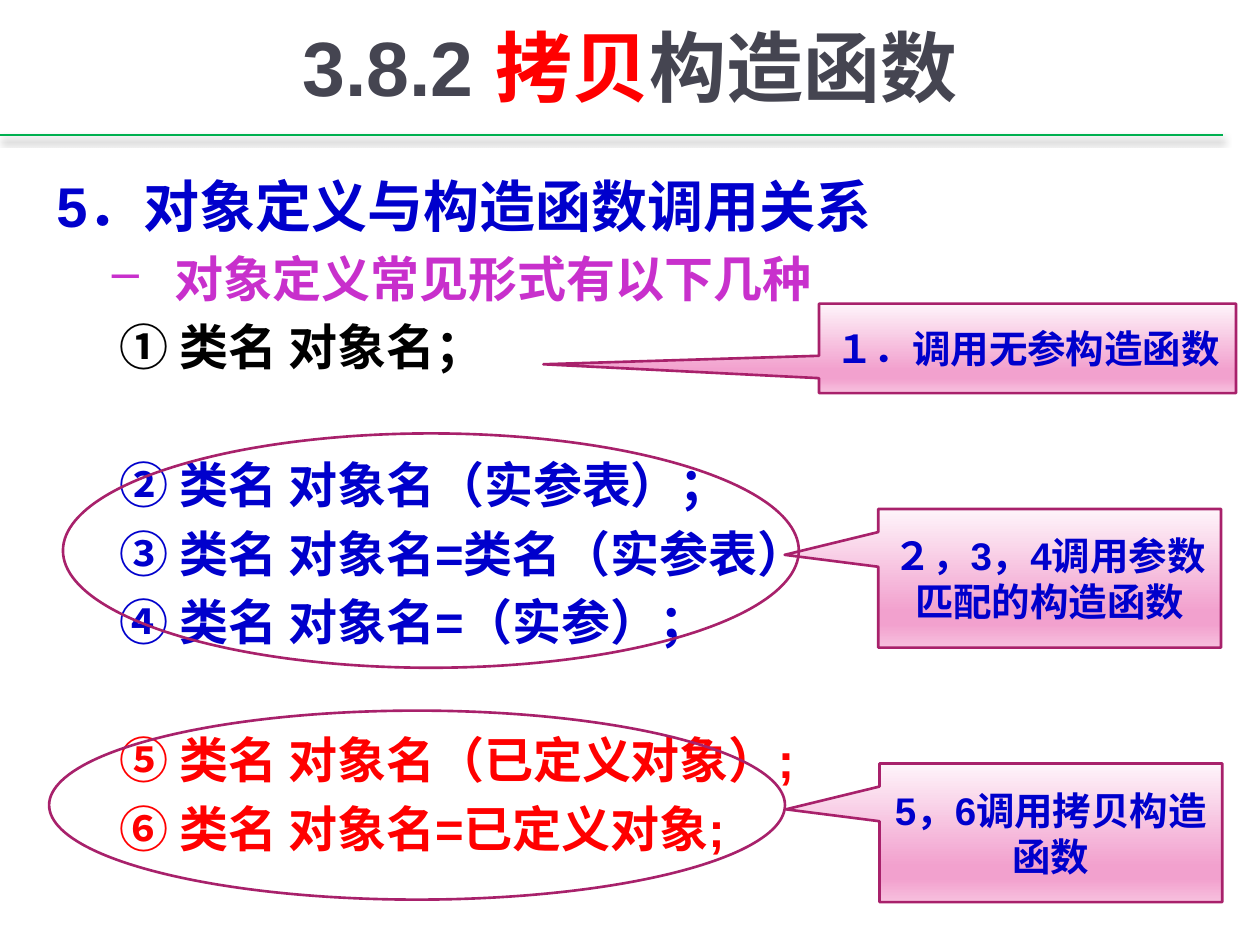
from typing import NamedTuple, Optional

import pptx
import pptx.dml.color
import pptx.enum.lang
import pptx.enum.shapes
import pptx.enum.text
import pptx.oxml
import pptx.oxml.ns
import pptx.util
from pptx.dml.color import RGBColor
from pptx.util import Inches

BLUE = RGBColor(0x00, 0x00, 0xCC)
RED = RGBColor(0xFF, 0x00, 0x00)
BLACK = RGBColor(0x00, 0x00, 0x00)
VIOLET = RGBColor(0xC8, 0x30, 0xCC)
SLATE = RGBColor(0x45, 0x45, 0x51)
GREEN = RGBColor(0x00, 0xB0, 0x50)
PLUM = RGBColor(0xA8, 0x21, 0x6B)
PINK_STOPS = [
    (0, RGBColor(0xFE, 0xF4, 0xFA)),
    (74, RGBColor(0xF2, 0xA1, 0xCE)),
    (83, RGBColor(0xF2, 0xA1, 0xCE)),
    (100, RGBColor(0xF7, 0xC0, 0xDE)),
]
NSDECL = pptx.oxml.ns.nsdecls("a")
SHAPES = pptx.enum.shapes.MSO_SHAPE
CENTER = pptx.enum.text.PP_ALIGN.CENTER
MIDDLE = pptx.enum.text.MSO_ANCHOR.MIDDLE


class Box(NamedTuple):
    left: float
    top: float
    width: float
    height: float

    def lengths(self) -> list:
        return [Inches(value) for value in self]


class Line(NamedTuple):
    text: str
    color: RGBColor
    size: int = 28
    before: float = 5.6
    margin: float = 0.81
    indent: float = -0.31
    bullet: Optional[str] = None


class Callout(NamedTuple):
    box: Box
    tip: tuple
    text: str


GROUP_GAP = 45
OUTLINE = [
    Line("5．对象定义与构造函数调用关系", BLUE, 32, 0, 0, 0),
    Line("对象定义常见形式有以下几种", VIOLET, margin=0.94, indent=-0.5, bullet="–"),
    Line("① 类名 对象名；", BLACK),
    Line("② 类名 对象名（实参表）；", BLUE, before=GROUP_GAP),
    Line("③ 类名 对象名=类名（实参表）", BLUE),
    Line("④ 类名 对象名=（实参）；", BLUE),
    Line("⑤ 类名 对象名（已定义对象）;", RED, before=GROUP_GAP),
    Line("⑥ 类名 对象名=已定义对象;", RED),
]
TITLE = [("3.8.2 ", SLATE), ("拷贝", RED), ("构造函数", SLATE)]
CALLOUTS = [
    Callout(Box(6.5, 2.41, 3.31, 0.71), (-1.161, 0.178), "１．调用无参构造函数"),
    Callout(Box(6.97, 4.04, 2.72, 1.1), (-0.773, -0.169), "２，3，4调用参数匹配的构造函数"),
    Callout(Box(6.98, 6.06, 2.72, 1.1), (-0.773, -0.169), "5，6调用拷贝构造函数"),
]
RINGS = [Box(0.5, 3.44, 5.84, 1.86), Box(0.39, 5.64, 5.84, 1.5)]


def add_run(paragraph, text: str, size: int, color: RGBColor) -> None:
    run = paragraph.add_run()
    run.text = text
    formats = {
        "name": "Arial",
        "size": pptx.util.Pt(size),
        "bold": True,
        "language_id": pptx.enum.lang.MSO_LANGUAGE_ID.SIMPLIFIED_CHINESE,
    }
    for attribute, value in formats.items():
        setattr(run.font, attribute, value)
    run.font.color.rgb = color


def add_rule(slide) -> None:
    rule = slide.shapes.add_connector(
        pptx.enum.shapes.MSO_CONNECTOR.STRAIGHT,
        Inches(0), Inches(1.07), Inches(9.71), Inches(1.07),
    )
    rule.line.color.rgb = GREEN
    rule.line.width = pptx.util.Pt(1.25)
    rule._element.spPr.append(pptx.oxml.parse_xml(
        f'<a:effectLst {NSDECL}><a:outerShdw blurRad="50800" dist="31750" '
        'dir="5400000" rotWithShape="0"><a:srgbClr val="000000">'
        '<a:alpha val="47000"/></a:srgbClr></a:outerShdw></a:effectLst>'
    ))


def add_outline(slide) -> None:
    frame = slide.shapes.add_textbox(*Box(0.35, 1.31, 6.93, 5.83).lengths()).text_frame
    frame.word_wrap = True
    for index, line in enumerate(OUTLINE):
        paragraph = frame.add_paragraph() if index else frame.paragraphs[0]
        properties = paragraph._p.get_or_add_pPr()
        properties.set("marL", str(Inches(line.margin)))
        properties.set("indent", str(Inches(line.indent)))
        bullet = f'<a:buChar {NSDECL} char="{line.bullet}"/>' if line.bullet else f"<a:buNone {NSDECL}/>"
        properties.append(pptx.oxml.parse_xml(bullet))
        paragraph.space_before = pptx.util.Pt(line.before)
        add_run(paragraph, line.text, line.size, line.color)


def add_title(slide) -> None:
    frame = slide.shapes.add_textbox(*Box(0.5, 0.08, 9, 0.89).lengths()).text_frame
    frame.word_wrap = True
    frame.vertical_anchor = MIDDLE
    frame.paragraphs[0].alignment = CENTER
    for text, color in TITLE:
        add_run(frame.paragraphs[0], text, 44, color)


def add_outlined(slide, kind, box: Box):
    shape = slide.shapes.add_shape(kind, *box.lengths())
    shape.shadow.inherit = False
    shape.fill.background()
    shape.line.color.rgb = PLUM
    shape.line.width = pptx.util.Pt(1.5)
    return shape


def add_callout(slide, callout: Callout) -> None:
    shape = add_outlined(slide, SHAPES.RECTANGULAR_CALLOUT, callout.box)
    for index, offset in enumerate(callout.tip):
        shape.adjustments[index] = offset
    stops = "".join(
        f'<a:gs pos="{position * 1000}"><a:srgbClr val="{color}"/></a:gs>'
        for position, color in PINK_STOPS
    )
    properties = shape._element.spPr
    properties.replace(
        properties.find(pptx.oxml.ns.qn("a:noFill")),
        pptx.oxml.parse_xml(
            f'<a:gradFill {NSDECL} rotWithShape="1"><a:gsLst>{stops}</a:gsLst>'
            '<a:lin ang="5400000" scaled="0"/></a:gradFill>'
        ),
    )
    frame = shape.text_frame
    frame.word_wrap = True
    frame.vertical_anchor = MIDDLE
    frame.paragraphs[0].alignment = CENTER
    add_run(frame.paragraphs[0], callout.text, 22, BLUE)


def main() -> None:
    deck = pptx.Presentation()
    deck.slide_width, deck.slide_height = Inches(10), Inches(7.5)
    slide = deck.slides.add_slide(deck.slide_layouts[6])
    add_rule(slide)
    add_outline(slide)
    add_title(slide)
    for callout in CALLOUTS:
        add_callout(slide, callout)
    for ring in RINGS:
        add_outlined(slide, SHAPES.OVAL, ring)
    deck.save("out.pptx")


if __name__ == "__main__":
    main()
